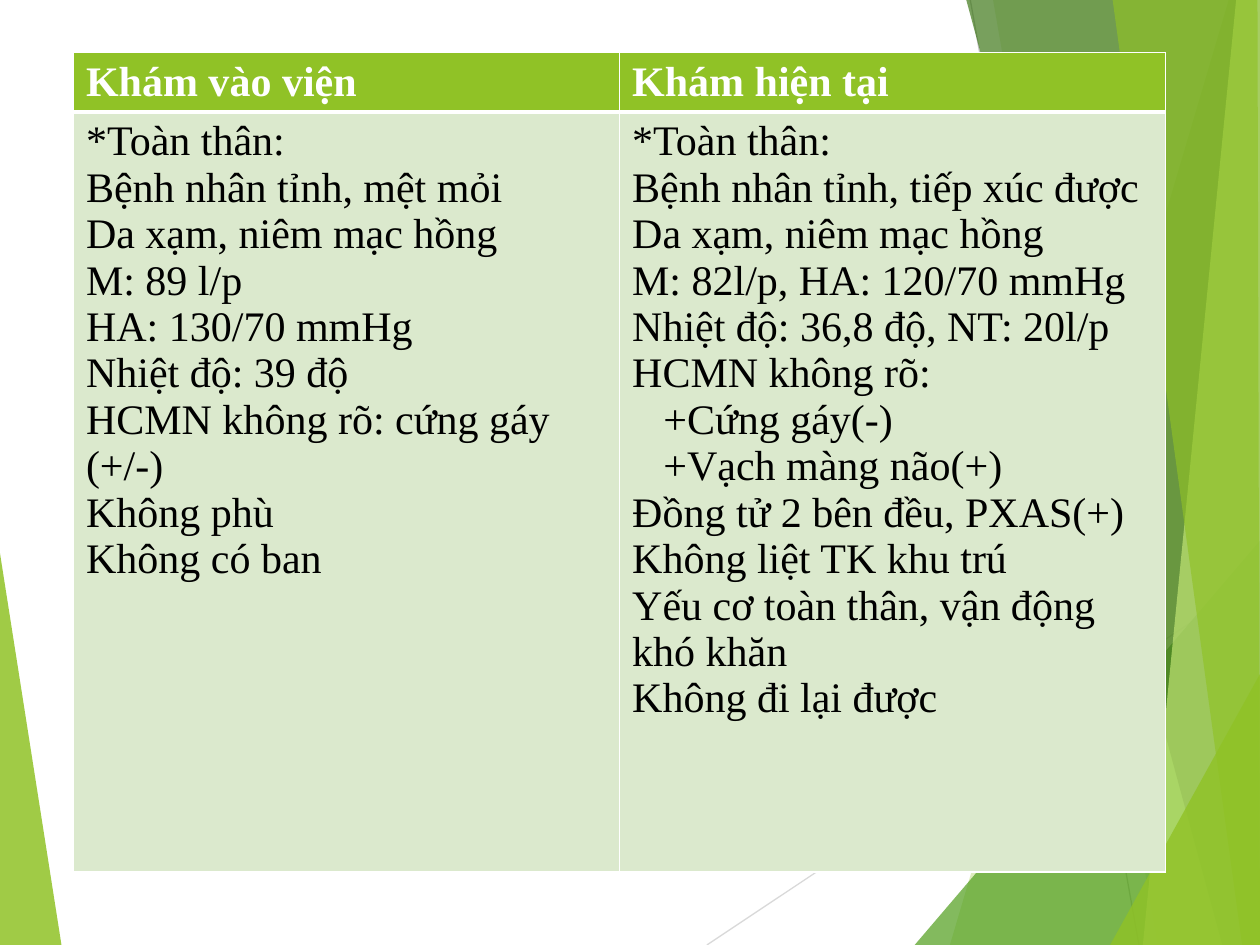
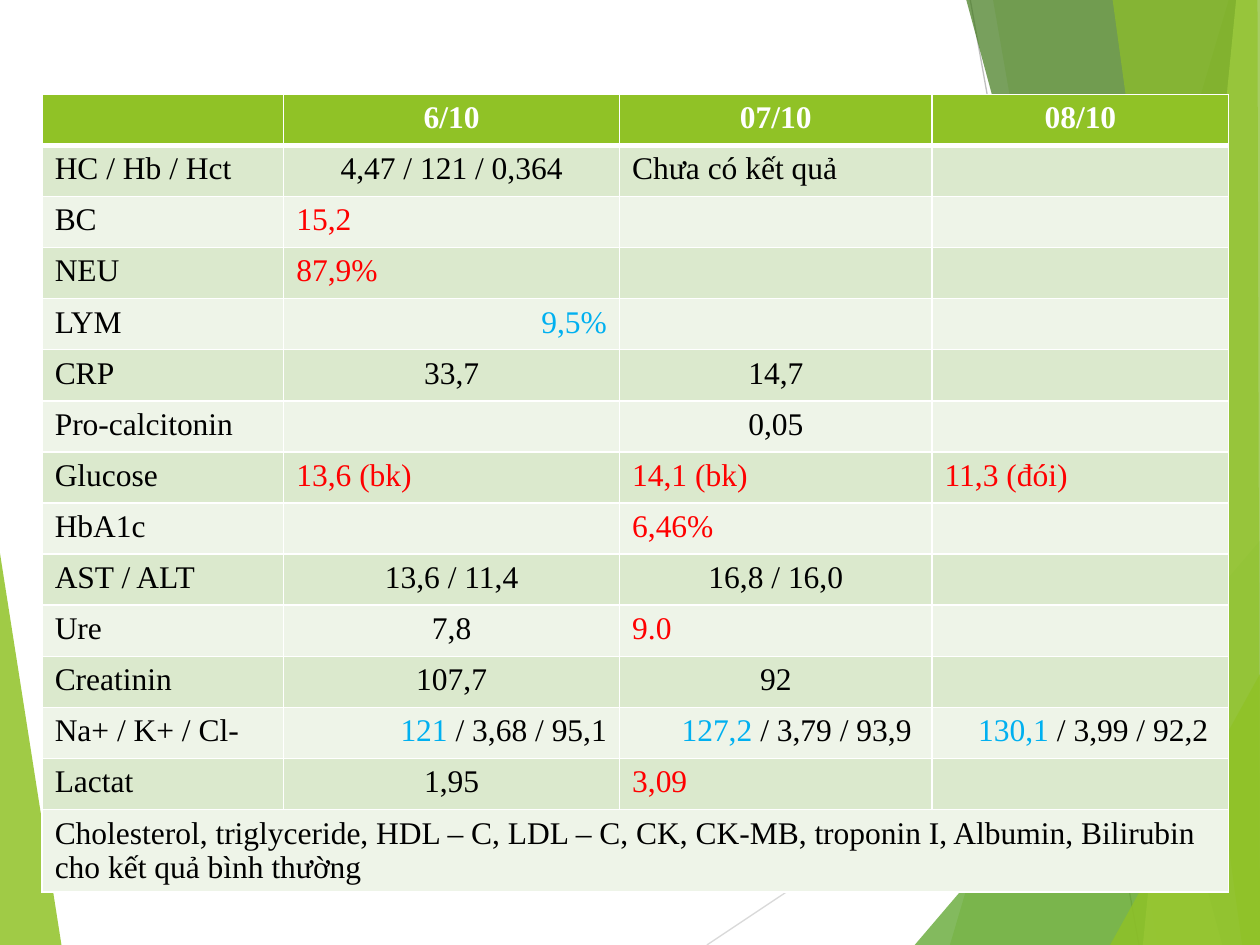
from dataclasses import dataclass
from typing import NamedTuple

from lxml.etree import SubElement
from pptx import Presentation
from pptx.dml.color import RGBColor
from pptx.enum.shapes import MSO_CONNECTOR
from pptx.enum.text import PP_ALIGN
from pptx.oxml import parse_xml
from pptx.oxml.ns import nsdecls, qn
from pptx.slide import Slide
from pptx.table import Table, _Cell
from pptx.util import Cm, Pt

WHITE = RGBColor(0xFF, 0xFF, 0xFF)
BLACK = RGBColor(0x00, 0x00, 0x00)
GREEN = RGBColor(0x90, 0xC2, 0x26)
LEAF_GREEN = RGBColor(0x54, 0xA0, 0x21)
DARK_GREEN = RGBColor(0x3F, 0x78, 0x19)
LIME = RGBColor(0xC0, 0xE4, 0x74)
BAND_DARK = RGBColor(0xDB, 0xE9, 0xCD)
BAND_LIGHT = RGBColor(0xEE, 0xF4, 0xE8)
LIGHT_GRAY = RGBColor(0xD9, 0xD9, 0xD9)
GRAY = RGBColor(0xBF, 0xBF, 0xBF)
HIGH_RED = RGBColor(0xFF, 0x00, 0x00)
LOW_BLUE = RGBColor(0x00, 0xB0, 0xF0)

FONT_NAME = "Times New Roman"
WIDTH = 25.4
HEIGHT = 19.05
SUB_ITEM_INDENT = Cm(0.63)
BLANK_LAYOUT = 6


class Facet(NamedTuple):
    points: list[tuple[float, float]]
    color: RGBColor
    opacity: int


class Ray(NamedTuple):
    start: tuple[float, float]
    end: tuple[float, float]
    color: RGBColor


class Span(NamedTuple):
    text: str
    color: RGBColor = BLACK
    bold: bool = False


@dataclass
class Line:
    spans: list[Span]
    alignment: PP_ALIGN = PP_ALIGN.LEFT
    indented: bool = False


@dataclass
class Grid:
    left: float
    top: float
    columns: list[float]
    rows: list[float]
    font_size: int
    cells: list[list[list[Line]]]


CORNERS = [(WIDTH, HEIGHT), (WIDTH, 0)]
LEFT_FACET = Facet([(0, 11.15), (1.24, HEIGHT), (0, HEIGHT)], GREEN, 85)
RAYS = [
    Ray((14.25, HEIGHT), (WIDTH, 11.62), LIGHT_GRAY),
    Ray((19.56, 0), (22.96, HEIGHT), GRAY),
]
RIGHT_FACETS = [
    Facet([(24.77, 0), (19.15, HEIGHT), *CORNERS], GREEN, 30),
    Facet([(20.02, 0), (23.34, HEIGHT), *CORNERS], GREEN, 20),
    Facet([(18.44, HEIGHT), (WIDTH, 10.9), (WIDTH, HEIGHT)], LEAF_GREEN, 72),
    Facet([(19.48, 0), (24.64, HEIGHT), *CORNERS], DARK_GREEN, 70),
    Facet([(24.92, 0), (23.04, HEIGHT), *CORNERS], LIME, 70),
    Facet([(22.43, 0), (25.04, HEIGHT), (WIDTH, HEIGHT), (25.35, 0)], GREEN, 65),
    Facet([(22.38, HEIGHT), (WIDTH, 13.59), (WIDTH, HEIGHT)], GREEN, 80),
]


def heading(text: str, alignment: PP_ALIGN = PP_ALIGN.LEFT) -> list[Line]:
    return [Line([Span(text, WHITE, True)], alignment)]


def plain(text: str) -> list[Line]:
    return [Line([Span(text)])]


def normal(text: str) -> list[Line]:
    return [Line([Span(text)], PP_ALIGN.CENTER)]


def high(text: str) -> list[Line]:
    return [Line([Span(text, HIGH_RED)])]


def low(text: str, rest: str = "") -> list[Line]:
    spans = [Span(text, LOW_BLUE)]
    if rest:
        spans.append(Span(rest))
    return [Line(spans, PP_ALIGN.RIGHT)]


def findings(*texts: str) -> list[Line]:
    return [Line([Span(text)], indented=text.startswith("+")) for text in texts]


EXAMINATION = Grid(
    left=1.48,
    top=1.06,
    columns=[11.01, 11.01],
    rows=[1.2, 15.32],
    font_size=24,
    cells=[
        [heading("Khám vào viện"), heading("Khám hiện tại")],
        [
            findings(
                "*Toàn thân: ",
                "Bệnh nhân tỉnh, mệt mỏi",
                "Da xạm, niêm mạc hồng",
                "M: 89 l/p",
                "HA: 130/70 mmHg",
                "Nhiệt độ: 39 độ",
                "HCMN không rõ: cứng gáy (+/-)",
                "Không phù",
                "Không có ban",
            ),
            findings(
                "*Toàn thân: ",
                "Bệnh nhân tỉnh, tiếp xúc được",
                "Da xạm, niêm mạc hồng",
                "M: 82l/p, HA: 120/70 mmHg",
                "Nhiệt độ: 36,8 độ, NT: 20l/p",
                "HCMN không rõ:",
                "+Cứng gáy(-)",
                "+Vạch màng não(+)",
                "Đồng tử 2 bên đều, PXAS(+)",
                "Không liệt TK khu trú",
                "Yếu cơ toàn thân, vận động khó khăn",
                "Không đi lại được",
            ),
        ],
    ],
)

LAB_RESULTS = Grid(
    left=0.85,
    top=1.9,
    columns=[4.87, 6.77, 6.3, 5.98],
    rows=[1.03] * 14 + [1.65],
    font_size=18,
    cells=[
        [[], *(heading(day, PP_ALIGN.CENTER) for day in ("6/10", "07/10", "08/10"))],
        [plain("HC / Hb / Hct"), normal("4,47 / 121 / 0,364"), plain("Chưa có kết quả")],
        [plain("BC"), high("15,2")],
        [plain("NEU"), high("87,9%")],
        [plain("LYM"), low("9,5%")],
        [plain("CRP"), normal("33,7"), normal("14,7")],
        [plain("Pro-calcitonin"), [], normal("0,05")],
        [plain("Glucose"), high("13,6 (bk)"), high("14,1 (bk)"), high("11,3 (đói)")],
        [plain("HbA1c"), [], high("6,46%")],
        [plain("AST / ALT"), normal("13,6 / 11,4"), normal("16,8 / 16,0")],
        [plain("Ure"), normal("7,8"), high("9.0")],
        [plain("Creatinin"), normal("107,7"), normal("92")],
        [
            plain("Na+ / K+ / Cl-"),
            low("121 ", "/ 3,68 / 95,1"),
            low("127,2", " / 3,79 / 93,9 "),
            low("130,1", " / 3,99 / 92,2 "),
        ],
        [plain("Lactat"), normal("1,95"), high("3,09")],
        [
            plain(
                "Cholesterol, triglyceride, HDL – C, LDL – C, CK, CK-MB, troponin I, "
                "Albumin, Bilirubin cho kết quả bình thường"
            )
        ],
    ],
)


def draw_facet(slide: Slide, facet: Facet) -> None:
    points = [(Cm(x), Cm(y)) for x, y in facet.points]
    builder = slide.shapes.build_freeform(*points[0])
    builder.add_line_segments(points[1:], close=True)
    shape = builder.convert_to_shape()
    shape.shadow.inherit = False
    shape.fill.solid()
    shape.fill.fore_color.rgb = facet.color
    shape.line.fill.background()
    color = shape._element.spPr.find(qn("a:solidFill"))[0]
    SubElement(color, qn("a:alpha")).set("val", str(facet.opacity * 1000))


def draw_ray(slide: Slide, ray: Ray) -> None:
    ends = [Cm(value) for value in (*ray.start, *ray.end)]
    connector = slide.shapes.add_connector(MSO_CONNECTOR.STRAIGHT, *ends)
    connector.line.color.rgb = ray.color
    connector.line.width = Pt(0.75)
    SubElement(connector._element.spPr, qn("a:effectLst"))


def draw_background(slide: Slide) -> None:
    draw_facet(slide, LEFT_FACET)
    for ray in RAYS:
        draw_ray(slide, ray)
    for facet in RIGHT_FACETS:
        draw_facet(slide, facet)


def set_borders(cell: _Cell, top: float, bottom: float) -> None:
    properties = cell._tc.get_or_add_tcPr()
    widths = {"lnL": 1, "lnR": 1, "lnT": top, "lnB": bottom}
    for position, (side, width) in enumerate(widths.items()):
        border = parse_xml(
            f'<a:{side} {nsdecls("a")} w="{Pt(width)}"><a:solidFill>'
            f'<a:srgbClr val="{WHITE}"/></a:solidFill></a:{side}>'
        )
        properties.insert(position, border)


def write_lines(cell: _Cell, lines: list[Line], font_size: int) -> None:
    frame = cell.text_frame
    for index, line in enumerate(lines):
        paragraph = frame.add_paragraph() if index else frame.paragraphs[0]
        paragraph.alignment = line.alignment
        if line.indented:
            paragraph._p.get_or_add_pPr().set("marL", str(SUB_ITEM_INDENT))
        for span in line.spans:
            run = paragraph.add_run()
            run.text = span.text
            run.font.name = FONT_NAME
            run.font.size = Pt(font_size)
            run.font.bold = span.bold
            run.font.color.rgb = span.color


def draw_table(slide: Slide, grid: Grid) -> Table:
    table = slide.shapes.add_table(
        len(grid.rows),
        len(grid.columns),
        Cm(grid.left),
        Cm(grid.top),
        Cm(sum(grid.columns)),
        Cm(sum(grid.rows)),
    ).table
    for column, width in zip(table.columns, grid.columns):
        column.width = Cm(width)
    for row_index, (row, height) in enumerate(zip(table.rows, grid.rows)):
        row.height = Cm(height)
        band = BAND_DARK if row_index % 2 else BAND_LIGHT
        for cell in row.cells:
            cell.fill.solid()
            cell.fill.fore_color.rgb = band if row_index else GREEN
            set_borders(
                cell,
                top=3 if row_index == 1 else 1,
                bottom=1 if row_index else 3,
            )
        for cell, lines in zip(row.cells, grid.cells[row_index]):
            write_lines(cell, lines, grid.font_size)
    return table


def main() -> None:
    presentation = Presentation()
    presentation.slide_width = Cm(WIDTH)
    presentation.slide_height = Cm(HEIGHT)
    tables = []
    for grid in (EXAMINATION, LAB_RESULTS):
        slide = presentation.slides.add_slide(presentation.slide_layouts[BLANK_LAYOUT])
        draw_background(slide)
        tables.append(draw_table(slide, grid))
    lab_table = tables[-1]
    last_row = len(LAB_RESULTS.rows) - 1
    last_column = len(LAB_RESULTS.columns) - 1
    lab_table.cell(last_row, 0).merge(lab_table.cell(last_row, last_column))
    presentation.save("out.pptx")


main()
